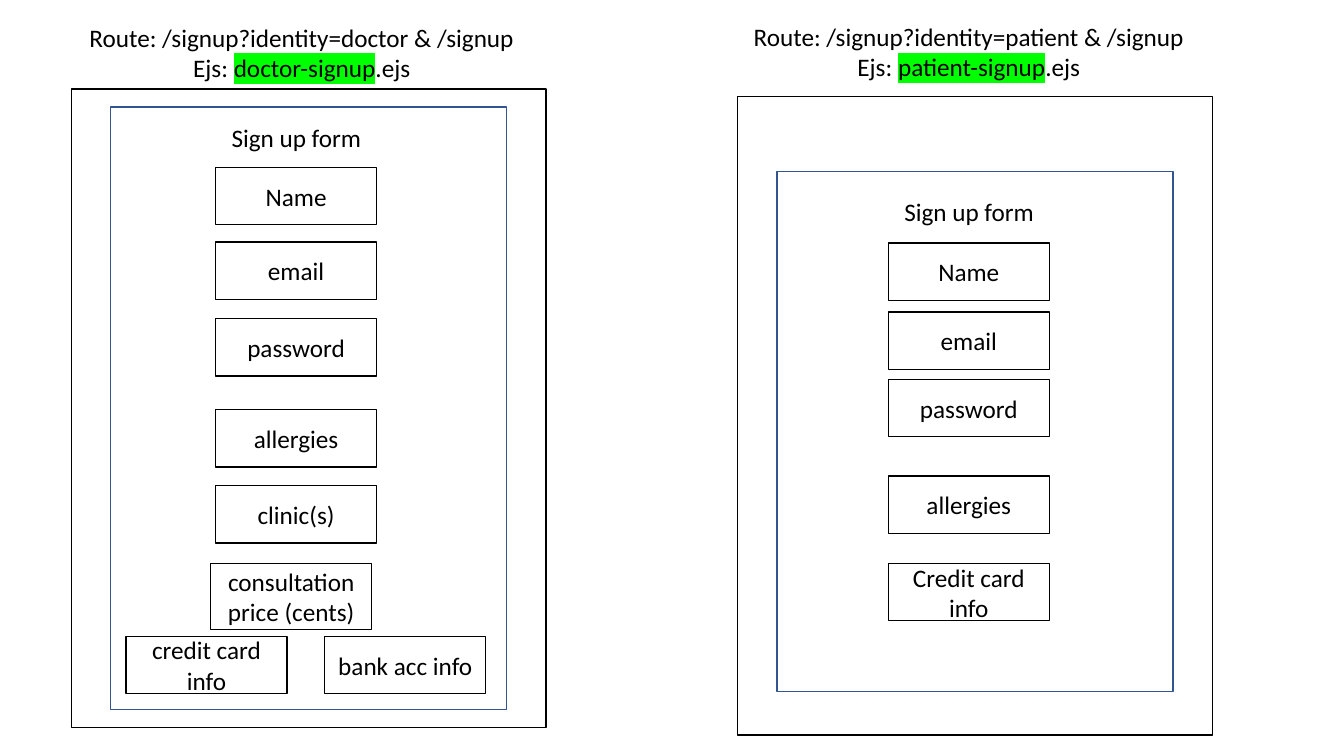
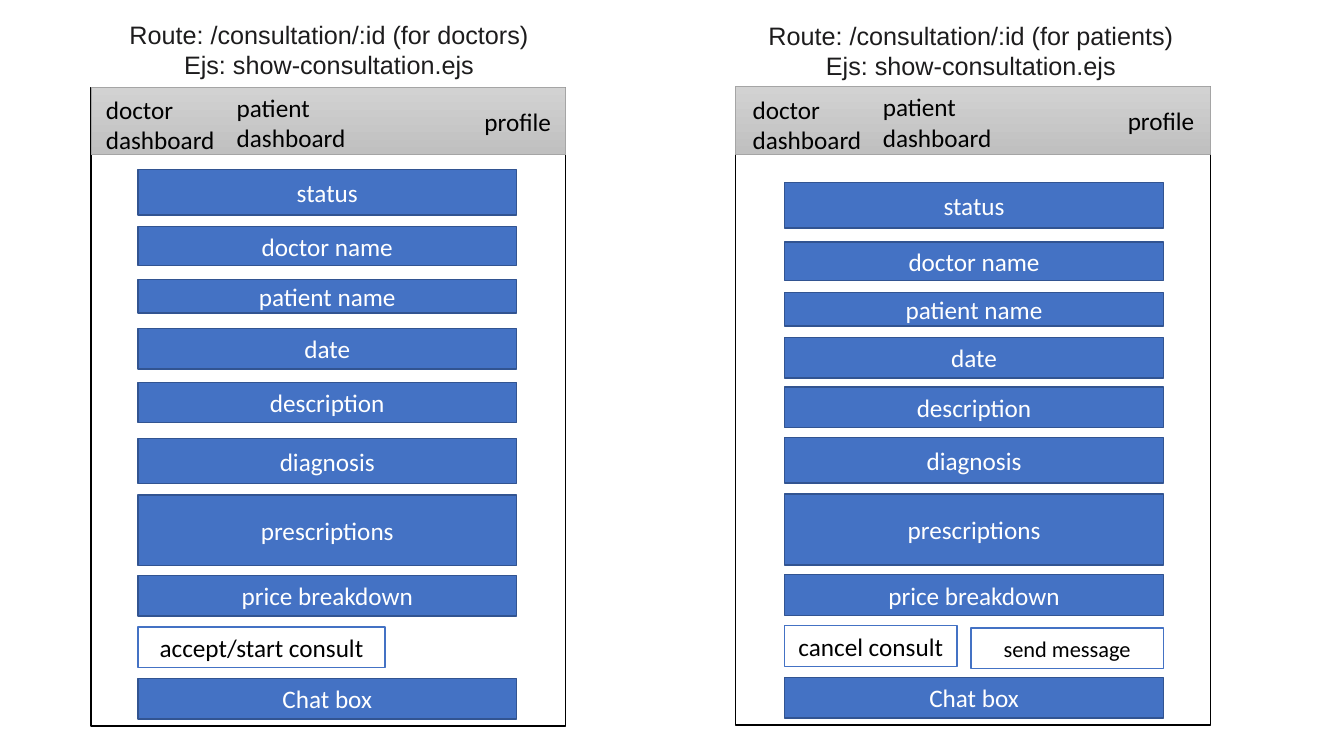
from lxml import etree
from pptx import Presentation
from pptx.dml.color import RGBColor
from pptx.enum.shapes import MSO_SHAPE
from pptx.enum.text import MSO_ANCHOR, MSO_AUTO_SIZE, PP_ALIGN
from pptx.oxml.ns import qn
from pptx.util import Pt

RECT = MSO_SHAPE.RECTANGLE
TOP, MIDDLE = MSO_ANCHOR.TOP, MSO_ANCHOR.MIDDLE
LEFT, CENTER = PP_ALIGN.LEFT, PP_ALIGN.CENTER
NO_FIT = MSO_AUTO_SIZE.NONE

BLACK = RGBColor(0x00, 0x00, 0x00)
WHITE = RGBColor(0xFF, 0xFF, 0xFF)
INK = RGBColor(0x1D, 0x1C, 0x1D)
BLUE = RGBColor(0x44, 0x72, 0xC4)
DARK_BLUE = RGBColor(0x32, 0x54, 0x91)
NAV_TOP = RGBColor(0xD2, 0xD2, 0xD2)
NAV_BOTTOM = RGBColor(0xC0, 0xC0, 0xC0)
NAV_LINE = RGBColor(0xA5, 0xA5, 0xA5)
GREEN = "00FF00"

FRAME_W, FRAME_H = 339, 456
FORM_W = 283
CAPTION_W, CAPTION_H = 163.5, 29
FIELD_W, FIELD_H = 115, 41
NAV_H = 48
BAR_W, BUTTON_H = 270.5, 29
HEADING_H = 51

# Heading lines hold (text, highlighted) runs; boxes are (left, top, width[, height]).
# Sign-up fields are (text, left, top, height).
SIGNUPS = [
    {
        "heading": [[("Route: /signup?identity=doctor & /signup", False)],
                    [("Ejs: ", False), ("doctor-signup", True), (".ejs", False)]],
        "heading_at": (46, 12, 339),
        "frame_at": (51, 63.5),
        "form_at": (79, 76.5, 430.5),
        "caption_at": (130, 84),
        "fields": [
            ("Name", 154, 119.5, FIELD_H),
            ("email", 154, 173, FIELD_H),
            ("password", 154, 227.5, FIELD_H),
            ("allergies", 154, 292.5, FIELD_H),
            ("clinic(s)", 154, 347, FIELD_H),
            ("consultation price (cents)", 150.5, 402.5, 47),
            ("credit card info", 90, 454.5, FIELD_H),
            ("bank acc info", 232, 454.5, FIELD_H),
        ],
    },
    {
        "heading": [[("Route: /signup?identity=patient & /signup", False)],
                    [("Ejs: ", False), ("patient-signup", True), (".ejs", False)]],
        "heading_at": (522.5, 11.5, 339),
        "frame_at": (527, 69),
        "form_at": (555, 122.5, 371.5),
        "caption_at": (610.5, 137),
        "fields": [
            ("Name", 634.5, 173.5, FIELD_H),
            ("email", 634.5, 223, FIELD_H),
            ("password", 634.5, 271, FIELD_H),
            ("allergies", 634.5, 340, FIELD_H),
            ("Credit card info", 634.5, 402.5, FIELD_H),
        ],
    },
]

BARS = [
    ("status", 32.5), ("doctor name", 27.5), ("patient name", 24),
    ("date", 29), ("description", 29), ("diagnosis", 32.5),
    ("prescriptions", 50.5), ("price breakdown", 29), ("Chat box", 29),
]

# Buttons are (text, left, top, width, text size).
# Nav items are (text, left, top, width, height).
CONSULTATIONS = [
    {
        "heading": [[("Route: /consultation/:id (for doctors)", False)],
                    [("Ejs: show-consultation.ejs", False)]],
        "heading_at": (66, 10, 338),
        "frame_at": (65, 62.5),
        "bar_left": 98.5,
        "bar_tops": [121, 162, 199.5, 234.5, 273, 313, 353.5, 411, 484.5],
        "buttons": [("accept/start consult", 98.5, 448, 176.5, 18)],
        "nav": [
            ("doctor\vdashboard", 68.5, 63.5, 98.5, 51),
            ("patient\vdashboard", 162, 62.5, 98.5, 51),
            ("profile", 339, 72.5, 67, 29),
        ],
    },
    {
        "heading": [[("Route: /consultation/:id (for patients)", False)],
                    [("Ejs: show-consultation.ejs", False)]],
        "heading_at": (530, 11, 327),
        "frame_at": (525.5, 62),
        "bar_left": 560.5,
        "bar_tops": [130.5, 173, 209, 241, 276.5, 312.5, 353, 410.5, 484],
        "buttons": [("cancel consult", 560.5, 447, 123, 18),
                    ("send message", 693.5, 448.5, 137.5, 16)],
        "nav": [
            ("doctor\vdashboard", 530.5, 63.5, 98.5, 51),
            ("patient\vdashboard", 623.5, 62, 98.5, 51),
            ("profile", 798.5, 72, 67, 29),
        ],
    },
]


def highlight(r):
    """Mark a coloured run with a green background."""
    mark = etree.Element(qn("a:highlight"))
    etree.SubElement(mark, qn("a:srgbClr"), val=GREEN)
    r.font.fill._xPr.find(qn("a:solidFill")).addnext(mark)


def format_run(r, size=18, font="Calibri", color=BLACK):
    """Set the font of a run."""
    r.font.size = Pt(size)
    r.font.name = font
    r.font.bold = False
    r.font.color.rgb = color


def write(sp, text, align=CENTER, anchor=MIDDLE, **font):
    """Put one formatted paragraph into a shape."""
    tf = sp.text_frame
    tf.word_wrap = True
    tf.vertical_anchor = anchor
    p = tf.paragraphs[0]
    p.text = text
    p.alignment = align
    for r in p.runs:
        format_run(r, **font)


def add_box(shapes, box, text="", fill=None, line=BLACK, line_width=1, **style):
    """Add a rectangle, with text if given."""
    sp = shapes.add_shape(RECT, *map(Pt, box))
    sp.shadow.inherit = False
    if fill is None:
        sp.fill.background()
    else:
        sp.fill.solid()
        sp.fill.fore_color.rgb = fill
    sp.line.color.rgb = line
    sp.line.width = Pt(line_width)
    if text:
        write(sp, text, **style)
    return sp


def add_label(shapes, box, text, **style):
    """Add a text box."""
    write(shapes.add_textbox(*map(Pt, box)), text, anchor=TOP, **style)


def fill_heading(sp, lines, box, **font):
    """Place a heading placeholder and write its lines."""
    left, top, width = box
    sp.left, sp.top, sp.width, sp.height = map(Pt, (left, top, width, HEADING_H))
    tf = sp.text_frame
    tf.word_wrap = True
    tf.auto_size = NO_FIT
    tf.vertical_anchor = TOP
    for i, line in enumerate(lines):
        p = tf.add_paragraph() if i else tf.paragraphs[0]
        p.alignment = CENTER
        p.space_before = Pt(0)
        for text, marked in line:
            r = p.add_run()
            r.text = text
            format_run(r, **font)
            if marked:
                highlight(r)


def add_screens(prs, screens, draw, **font):
    """Add a slide of two framed screens, each under its heading."""
    s = prs.slides.add_slide(prs.slide_layouts.get_by_name("Comparison"))
    holders = {sp.placeholder_format.idx: sp for sp in s.placeholders}
    headings = [holders.pop(1), holders.pop(3)]
    for sp in holders.values():
        sp.element.getparent().remove(sp.element)
    for sp, screen in zip(headings, screens):
        fill_heading(sp, screen["heading"], screen["heading_at"], **font)
        add_box(s.shapes, (*screen["frame_at"], FRAME_W, FRAME_H))
        draw(s.shapes, screen)


def draw_signup(shapes, screen):
    """Draw the sign-up form and its fields."""
    left, top, height = screen["form_at"]
    add_box(shapes, (left, top, FORM_W, height), line=DARK_BLUE)
    add_label(shapes, (*screen["caption_at"], CAPTION_W, CAPTION_H), "Sign up form")
    for text, left, top, height in screen["fields"]:
        add_box(shapes, (left, top, FIELD_W, height), text, fill=WHITE)


def draw_nav(shapes, screen):
    """Draw the grouped navigation bar."""
    group = shapes.add_group_shape().shapes
    sp = add_box(group, (*screen["frame_at"], FRAME_W, NAV_H),
                 line=NAV_LINE, line_width=0.5)
    sp.fill.gradient()
    sp.fill.gradient_angle = 270
    for stop, color in zip(sp.fill.gradient_stops, (NAV_TOP, NAV_BOTTOM)):
        stop.color.rgb = color
    for text, *box in screen["nav"]:
        add_label(group, box, text, align=LEFT)


def draw_consultation(shapes, screen):
    """Draw the consultation bars, buttons and navigation."""
    for (text, height), top in zip(BARS, screen["bar_tops"]):
        add_box(shapes, (screen["bar_left"], top, BAR_W, height), text,
                fill=BLUE, line=DARK_BLUE, color=WHITE)
    for text, left, top, width, size in screen["buttons"]:
        add_box(shapes, (left, top, width, BUTTON_H), text,
                fill=WHITE, line=BLUE, size=size)
    draw_nav(shapes, screen)


prs = Presentation()
prs.slide_width, prs.slide_height = Pt(960), Pt(540)
add_screens(prs, SIGNUPS, draw_signup)
add_screens(prs, CONSULTATIONS, draw_consultation, font="Arial", color=INK)
prs.save("out.pptx")
